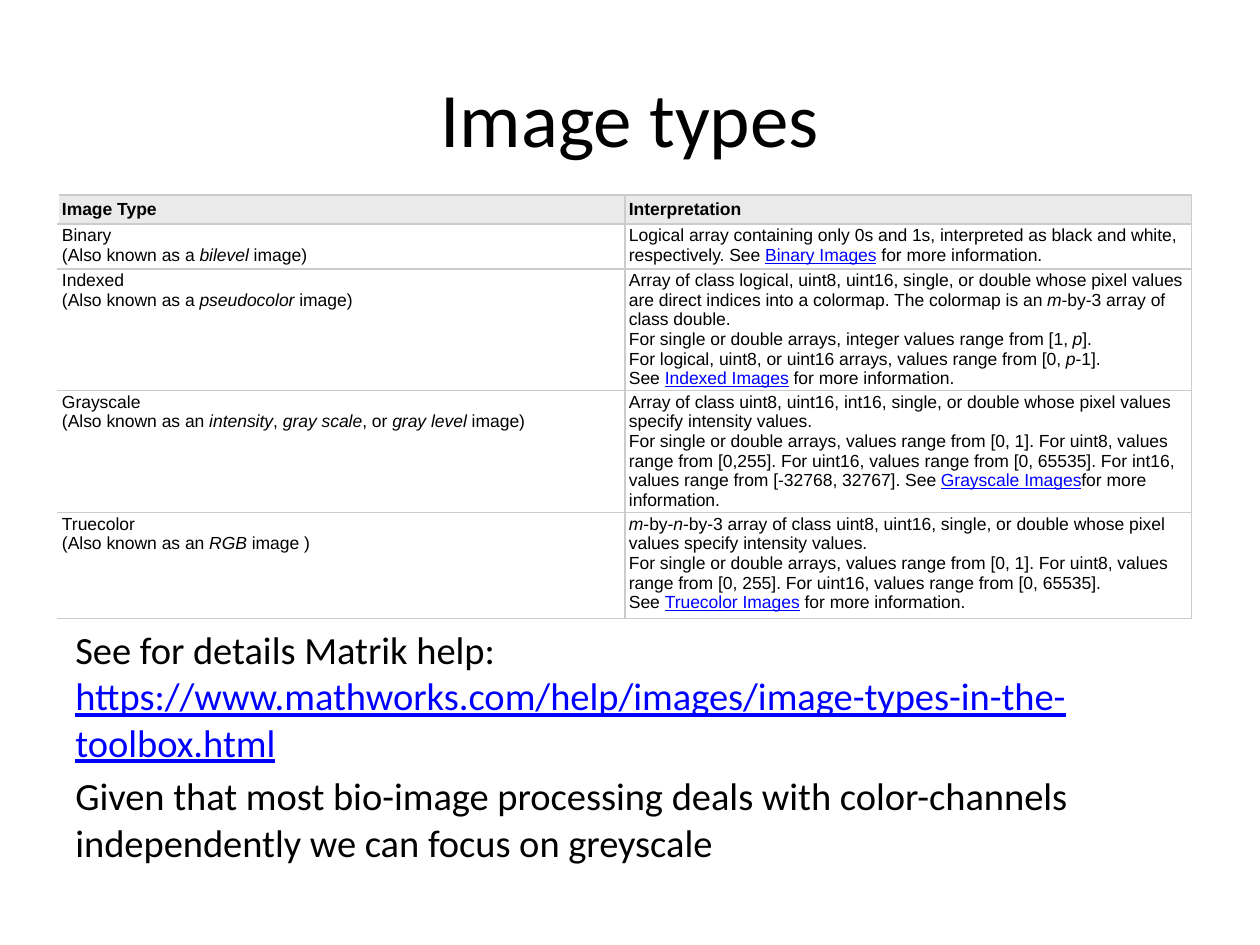
import pptx
import pptx.util
import pptx.dml.color
import pptx.enum.text
import pptx.oxml
import pptx.oxml.ns

W, H = 1260, 945
UNIT = 914400 // 126
BLACK, BLUE, GREY = "000000", "0000FF", "CCCCCC"

# "|" parts runs, "*" leads italics, "@" leads link looks, "~" is a fixed space
TITLE = ["Image types"]
BODY = [
    "See for details Matrik help: |@https://www.mathworks.com/help/images/image-types-in-the-toolbox.html",
    "Given that most bio-image processing deals with color-channels independently we can focus on greyscale",
]
ROWS = [
    (29, ["Image Type"], ["Interpretation"]),
    (45, ["Binary\n(Also known as a~|*bilevel|~image)"], [
        "Logical~array containing only 0s and 1s, interpreted as black and white, respectively. "
        "See~|@Binary Images|~for more information."]),
    (121, ["Indexed\n(Also known as a~|*pseudocolor|~image)"], [
        "Array of class~logical,~uint8,~uint16,~single, or~double~whose pixel values are direct "
        "indices into a colormap. The colormap is an~|*m|-by-3 array of class~double.",
        "For~single~or~double~arrays, integer values range from [1,~|*p|]. "
        "For~logical,~uint8, or~uint16~arrays, values range from [0,~|*p|-1]. "
        "See~|@Indexed Images|~for more information."]),
    (122, ["Grayscale\n(Also known as an~|*intensity|,~|*gray scale|, or~|*gray level|~image)"], [
        "Array of class~uint8,~uint16,~int16,~single, or~double~whose pixel values specify intensity values.",
        "For~single~or~double~arrays, values range from [0, 1]. For~uint8, values range from [0,255]. "
        "For~uint16, values range from [0, 65535]. For~int16, values range from [-32768, 32767]. "
        "See~|@Grayscale Images|for more information."]),
    (106, ["Truecolor\n(Also known as an~|*RGB|~image )"], [
        "*m|-by-|*n|-by-3 array of class~uint8,~uint16,~single, or~double~whose pixel values specify intensity values.",
        "For~single~or~double~arrays, values range from [0, 1]. For~uint8, values range from [0, 255]. "
        "For uint16, values range from [0, 65535]. See~|@Truecolor Images|~for more information."]),
]


def px(n):
    return pptx.util.Emu(n * UNIT)


def rgb(code):
    return pptx.dml.color.RGBColor.from_string(code)


def write(frame, paras, face, size, bold=False, align="LEFT", gap=0, pitch=None):
    frame.word_wrap = True
    for i, text in enumerate(paras):
        para = frame.add_paragraph() if i else frame.paragraphs[0]
        para.alignment = getattr(pptx.enum.text.PP_ALIGN, align)
        para.space_before = pptx.util.Pt(gap if i else 0)
        if pitch:
            para.line_spacing = pptx.util.Pt(pitch)
        for part in text.replace("~", chr(160)).split("|"):
            mark = part[0] if part[0] in "*@" else ""
            for j, line in enumerate(part[len(mark):].split("\n")):
                if j:
                    para.add_line_break()
                run = para.add_run()
                run.text = line
                font = run.font
                font.name, font.size, font.bold = face, pptx.util.Pt(size), bold
                font.italic, font.underline = mark == "*", mark == "@"
                font.color.rgb = rgb(BLUE if mark == "@" else BLACK)
        for rest in para._p.findall(pptx.oxml.ns.qn("a:br")):
            props = rest.makeelement(pptx.oxml.ns.qn("a:rPr"), {"sz": str(size * 100)})
            rest.append(props)


def edge(cell, sides):
    props = cell._tc.get_or_add_tcPr()
    for side in sides:
        props.append(pptx.oxml.parse_xml(
            f'<a:ln{side} {pptx.oxml.ns.nsdecls("a")} w="9525"><a:solidFill>'
            f'<a:srgbClr val="{GREY}"/></a:solidFill></a:ln{side}>'))


def box(slide, place, anchor, *args, **opts):
    frame = slide.shapes.add_textbox(*map(px, place)).text_frame
    frame.vertical_anchor = anchor
    write(frame, *args, **opts)


def grid(slide, left, top, wide):
    high = sum(row[0] for row in ROWS)
    table = slide.shapes.add_table(len(ROWS), 2, px(left), px(top), px(wide), px(high)).table
    table.first_row = table.horz_banding = False
    for r, (tall, *cells) in enumerate(ROWS):
        table.rows[r].height = px(tall)
        head = r == 0
        for c, paras in enumerate(cells):
            cell = table.cell(r, c)
            cell.margin_left = cell.margin_right = px(4)
            cell.margin_top = cell.margin_bottom = px(4 if head else 2)
            cell.vertical_anchor = MID if head else TOP
            edge(cell, "LRTB" if c else "RTB")
            cell.fill.solid()
            cell.fill.fore_color.rgb = rgb("EAEAEA" if head else "FFFFFF")
            write(cell.text_frame, paras, "Arial", 10, bold=head, pitch=11.2)


TOP = pptx.enum.text.MSO_ANCHOR.TOP
MID = pptx.enum.text.MSO_ANCHOR.MIDDLE

deck = pptx.Presentation()
deck.slide_width, deck.slide_height = px(W), px(H)
page = deck.slides.add_slide(deck.slide_layouts[6])
box(page, (63, 38, 1134, 158), MID, TITLE, "Calibri", 44, align="CENTER")
box(page, (63, 620, 1134, 130), TOP, BODY, "Calibri", 22, gap=4.4)
grid(page, 58, 195, 1134)
deck.save("out.pptx")
